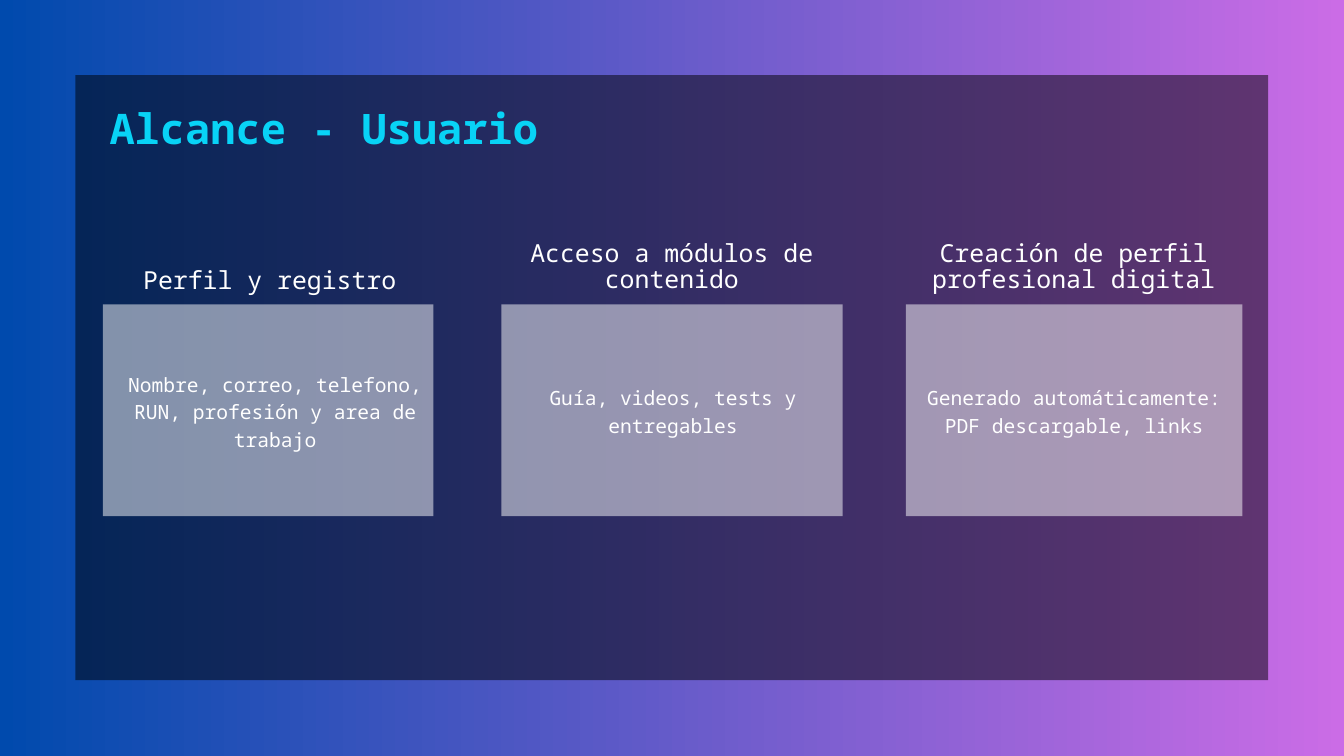
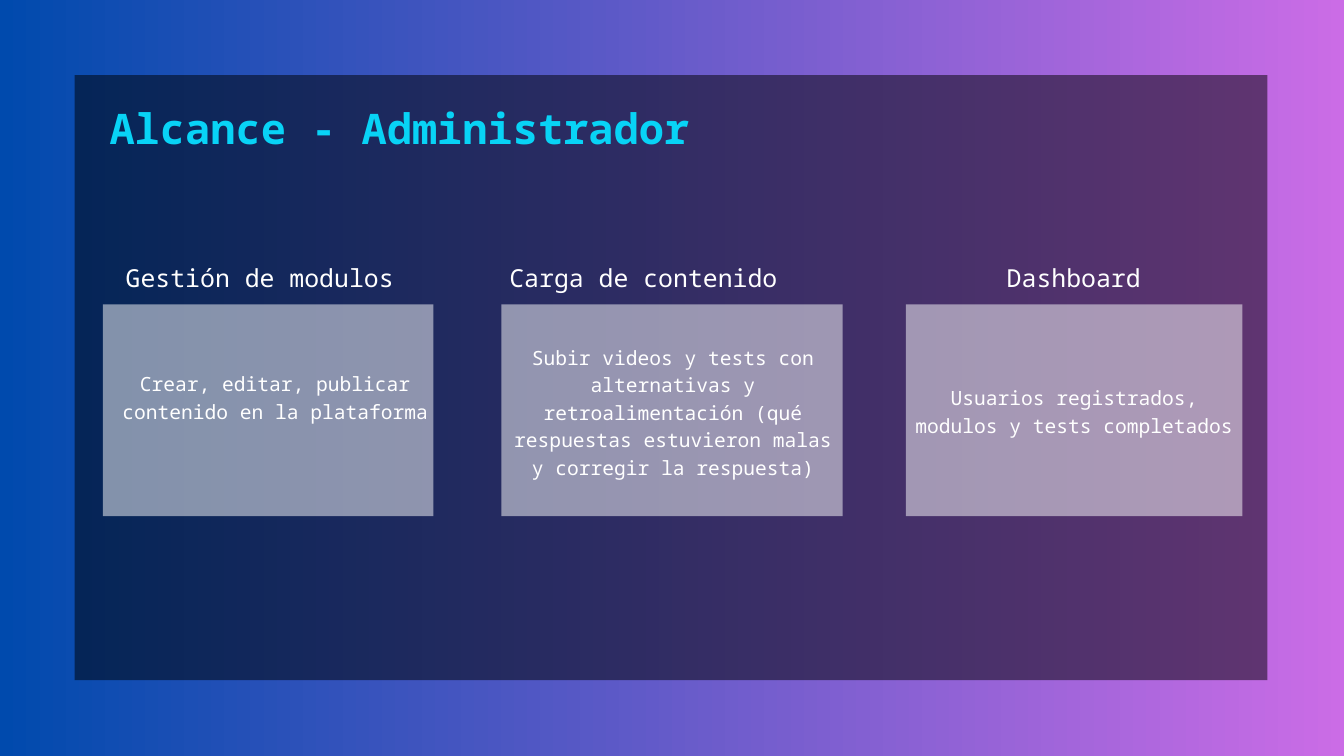
"""Build the two scope slides, for the user and for the administrator."""
from dataclasses import dataclass

from lxml import etree
from pptx import Presentation
from pptx.dml.color import RGBColor
from pptx.enum.shapes import MSO_SHAPE
from pptx.enum.text import MSO_ANCHOR, MSO_AUTO_SIZE, PP_ALIGN
from pptx.oxml.ns import qn
from pptx.presentation import Presentation as Deck
from pptx.shapes.base import BaseShape
from pptx.slide import Slide
from pptx.util import Inches, Pt

RECTANGLE = MSO_SHAPE.RECTANGLE
TOP = MSO_ANCHOR.TOP
GROW = MSO_AUTO_SIZE.SHAPE_TO_FIT_TEXT
LEFT, CENTER = PP_ALIGN.LEFT, PP_ALIGN.CENTER
TITLE_ONLY = 5


@dataclass(frozen=True)
class TextStyle:
    size: float
    leading: float
    color: RGBColor
    bold: bool = False


@dataclass(frozen=True)
class Theme:
    font: str = "Noto Sans Mono"
    gradient: tuple[RGBColor, RGBColor] = (
        RGBColor(0x00, 0x4A, 0xAD), RGBColor(0xCB, 0x6C, 0xE6))
    panel: RGBColor = RGBColor(0x00, 0x00, 0x00)
    card: RGBColor = RGBColor(0xFF, 0xFF, 0xFF)
    opacity: int = 50
    title: TextStyle = TextStyle(45, 63, RGBColor(0x08, 0xD3, 0xF6), True)
    heading: TextStyle = TextStyle(26.6, 27.9, RGBColor(0xFF, 0xFF, 0xFF))
    detail: TextStyle = TextStyle(21, 29.4, RGBColor(0xFF, 0xFF, 0xFF))


@dataclass(frozen=True)
class Frame:
    left: float
    top: float
    width: float
    height: float

    def lengths(self) -> tuple[Inches, Inches, Inches, Inches]:
        return (Inches(self.left), Inches(self.top),
                Inches(self.width), Inches(self.height))


@dataclass(frozen=True)
class Column:
    card_left: float
    card_width: float
    detail_left: float


@dataclass(frozen=True)
class Topic:
    heading: str
    heading_frame: Frame
    heading_align: PP_ALIGN
    detail: str
    detail_lines: int
    detail_shift: float = 0


@dataclass(frozen=True)
class Scope:
    title: str
    title_width: float
    panel_left: float
    topics: tuple[Topic, ...]


THEME = Theme()
CARD_TOP, CARD_HEIGHT = 4.53, 3.15
DETAIL_WIDTH, DETAIL_MIDDLE, DETAIL_LINE = 4.87, 6.09, 0.4
COLUMNS = (Column(1.53, 4.92, 1.66), Column(7.46, 5.08, 7.58),
           Column(13.48, 5.01, 13.55))
SCOPES = (
    Scope("Alcance - Usuario", 7.07, 1.12, (
        Topic("Perfil y registro", Frame(2.13, 3.99, 3.91, 0.4), LEFT,
              "Nombre, correo, telefono, RUN, profesión y area de trabajo", 3),
        Topic("Acceso a módulos de contenido",
              Frame(7.58, 3.59, 4.84, 0.78), CENTER,
              "Guía, videos, tests y entregables", 2),
        Topic("Creación de perfil profesional digital",
              Frame(13.62, 3.59, 4.72, 0.78), CENTER,
              "Generado automáticamente: PDF descargable, links", 2))),
    Scope("Alcance - Administrador", 9.58, 1.11, (
        Topic("Gestión de modulos", Frame(1.87, 3.97, 4.25, 0.4), LEFT,
              "Crear, editar, publicar contenido en la plataforma", 2, -0.21),
        Topic("Carga de contenido", Frame(7.58, 3.97, 4.84, 0.4), LEFT,
              "Subir videos y tests con alternativas y retroalimentación "
              "(qué respuestas estuvieron malas y corregir la respuesta)", 5),
        Topic("Dashboard", Frame(13.62, 3.97, 4.72, 0.4), CENTER,
              "Usuarios registrados, modulos y tests completados", 2))),
)


def paint_background(page: Slide) -> None:
    """Fill the page with the horizontal gradient."""
    fill = page.background.fill
    fill.gradient()
    fill.gradient_angle = 0
    for position, (stop, color) in enumerate(
            zip(fill.gradient_stops, THEME.gradient)):
        stop.position = position
        stop.color.rgb = color


def add_block(page: Slide, frame: Frame, color: RGBColor) -> None:
    """Add a translucent rectangle without outline."""
    block = page.shapes.add_shape(RECTANGLE, *frame.lengths())
    block.shadow.inherit = False
    block.line.fill.background()
    block.fill.solid()
    block.fill.fore_color.rgb = color
    tint = block.element.spPr.find(f"{qn('a:solidFill')}/{qn('a:srgbClr')}")
    etree.SubElement(tint, qn("a:alpha"), val=str(THEME.opacity * 1000))


def write(box: BaseShape, text: str, style: TextStyle, align: PP_ALIGN) -> None:
    """Write one styled paragraph into a box without margins."""
    frame = box.text_frame
    frame.margin_left = frame.margin_right = 0
    frame.margin_top = frame.margin_bottom = 0
    frame.word_wrap = True
    frame.auto_size = GROW
    frame.vertical_anchor = TOP
    para = frame.paragraphs[0]
    para.alignment = align
    para.line_spacing = Pt(style.leading)
    span = para.add_run()
    span.text = text
    span.font.name = THEME.font
    span.font.size = Pt(style.size)
    span.font.bold = style.bold
    span.font.color.rgb = style.color


def add_text(page: Slide, frame: Frame, text: str, style: TextStyle,
             align: PP_ALIGN) -> None:
    """Add a text box at a frame."""
    write(page.shapes.add_textbox(*frame.lengths()), text, style, align)


def place_title(page: Slide, scope: Scope) -> None:
    """Move the title placeholder in front of the panel and fill it."""
    title = page.shapes.title
    title.element.getparent().append(title.element)
    title.left, title.top, title.width, title.height = Frame(
        1.63, 1.4, scope.title_width, 0.83).lengths()
    write(title, scope.title, THEME.title, LEFT)


def add_topic(page: Slide, column: Column, topic: Topic) -> None:
    """Add a card with its heading above and its detail inside."""
    add_block(page, Frame(column.card_left, CARD_TOP, column.card_width,
                          CARD_HEIGHT), THEME.card)
    add_text(page, topic.heading_frame, topic.heading, THEME.heading,
             topic.heading_align)
    height = topic.detail_lines * DETAIL_LINE
    top = DETAIL_MIDDLE - height / 2 + topic.detail_shift
    add_text(page, Frame(column.detail_left, top, DETAIL_WIDTH, height),
             topic.detail, THEME.detail, CENTER)


def add_scope(deck: Deck, scope: Scope) -> None:
    """Add one scope slide."""
    page = deck.slides.add_slide(deck.slide_layouts[TITLE_ONLY])
    paint_background(page)
    add_block(page, Frame(scope.panel_left, 1.12, 17.75, 9), THEME.panel)
    place_title(page, scope)
    for column, topic in zip(COLUMNS, scope.topics):
        add_topic(page, column, topic)


def main() -> None:
    """Build and save the deck."""
    deck = Presentation()
    deck.slide_width, deck.slide_height = Inches(20), Inches(11.25)
    for scope in SCOPES:
        add_scope(deck, scope)
    deck.save("out.pptx")


if __name__ == "__main__":
    main()
